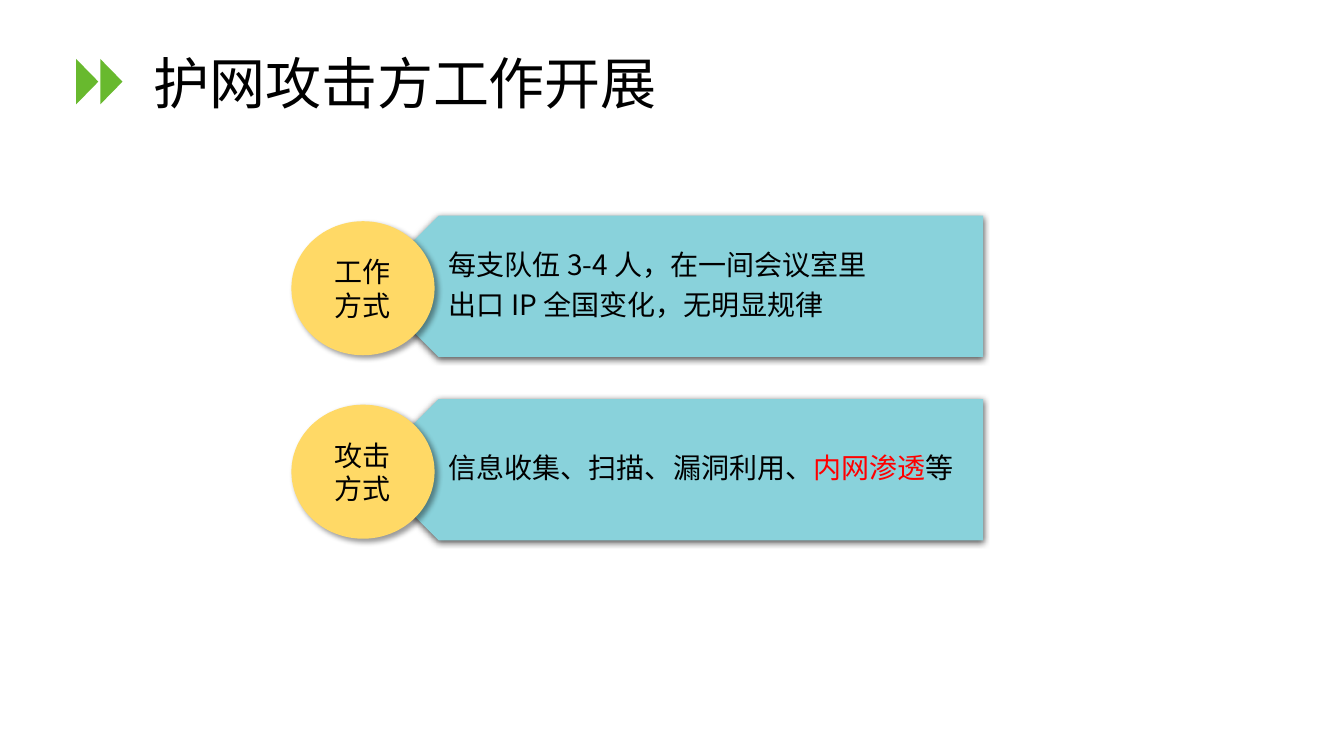
from lxml import etree
from pptx import Presentation
from pptx.dml.color import RGBColor
from pptx.enum.shapes import MSO_SHAPE
from pptx.enum.text import MSO_ANCHOR, PP_ALIGN
from pptx.oxml.ns import qn
from pptx.util import Inches, Pt

BLACK = RGBColor(0x00, 0x00, 0x00)
RED = RGBColor(0xFF, 0x00, 0x00)
GREEN = RGBColor(0x68, 0xB9, 0x2E)
TEAL = RGBColor(0x89, 0xD2, 0xDB)
YELLOW = RGBColor(0xFF, 0xD9, 0x66)
FONT = "Noto Sans CJK SC"
MIDDLE = MSO_ANCHOR.MIDDLE
LEFT, CENTER = PP_ALIGN.LEFT, PP_ALIGN.CENTER
TRIANGLE, PENTAGON, OVAL = MSO_SHAPE.ISOSCELES_TRIANGLE, MSO_SHAPE.PENTAGON, MSO_SHAPE.OVAL

TITLE = "护网攻击方工作开展"
# Each topic: label, then paragraphs made of (text, colour) pieces
TOPICS = [
    ("工作方式", [
        [("每支队伍 3-4 人，在一间会议室里", BLACK)],
        [("出口 IP 全国变化，无明显规律", BLACK)],
    ]),
    ("攻击方式", [
        [("信息收集、扫描、漏洞利用、", BLACK), ("内网渗透", RED), ("等", BLACK)],
    ]),
]

# Opacity in percent, blur and distance in points, direction in degrees
BANNER_SHADOW = (63, 4.5, 1.5, 90)
LABEL_SHADOW = (40, 4, 3, 45)

CHEVRON_LEFTS = (0.64, 0.88)
TOPIC_LEFT, TOPIC_TOP, TOPIC_PITCH = 2.89, 2.14, 1.82
BANNER_LEFT, BANNER_RIGHT, BANNER_HEIGHT = 3.65, 9.75, 1.4
LABEL_WIDTH, LABEL_HEIGHT = 1.42, 1.33


def add_plain_shape(kind, left, top, width, height, fill, rotation=0):
    shape = slide.shapes.add_shape(kind, *map(Inches, (left, top, width, height)))
    shape.shadow.inherit = False
    shape.fill.solid()
    shape.fill.fore_color.rgb = fill
    shape.line.fill.background()
    shape.rotation = rotation
    return shape


def add_shadow(shape, opacity, blur, distance, direction):
    effects = shape._element.spPr.find(qn("a:effectLst"))
    shadow = etree.SubElement(effects, qn("a:outerShdw"), {
        "blurRad": str(Pt(blur)), "dist": str(Pt(distance)),
        "dir": str(direction * 60000), "algn": "ctr", "rotWithShape": "0"})
    color = etree.SubElement(shadow, qn("a:srgbClr"), val=str(BLACK))
    etree.SubElement(color, qn("a:alpha"), val=str(opacity * 1000))


def add_run(paragraph, text, size, color=BLACK):
    run = paragraph.add_run()
    run.text = text
    run.font.size = Pt(size)
    run.font.color.rgb = color
    run.font.name = FONT
    etree.SubElement(run._r.get_or_add_rPr(), qn("a:ea"), typeface=FONT)


def format_frame(frame, **settings):
    for name, value in settings.items():
        setattr(frame, name, value)


def add_topic(top, label, paragraphs):
    banner = add_plain_shape(PENTAGON, BANNER_LEFT, top, BANNER_RIGHT - BANNER_LEFT,
                             BANNER_HEIGHT, TEAL, 180)
    add_shadow(banner, *BANNER_SHADOW)

    details = slide.shapes.add_textbox(*map(Inches, (
        TOPIC_LEFT, top, BANNER_RIGHT - TOPIC_LEFT, BANNER_HEIGHT))).text_frame
    format_frame(details, word_wrap=True, vertical_anchor=MIDDLE,
                 margin_left=Inches(1.56), margin_right=Inches(0.12),
                 margin_top=Inches(0.07), margin_bottom=Inches(0.07))
    for index, pieces in enumerate(paragraphs):
        paragraph = details.add_paragraph() if index else details.paragraphs[0]
        paragraph.line_spacing = 0.9
        paragraph.space_after = Pt(7)
        for text, color in pieces:
            add_run(paragraph, text, 20, color)

    label_top = top + (BANNER_HEIGHT - LABEL_HEIGHT) / 2 + 0.02
    circle = add_plain_shape(OVAL, TOPIC_LEFT, label_top, LABEL_WIDTH, LABEL_HEIGHT, YELLOW)
    add_shadow(circle, *LABEL_SHADOW)
    format_frame(circle.text_frame, word_wrap=True, vertical_anchor=MIDDLE)
    paragraph = circle.text_frame.paragraphs[0]
    paragraph.alignment = CENTER
    add_run(paragraph, label, 20)


presentation = Presentation()
presentation.slide_width, presentation.slide_height = Inches(13.33), Inches(7.5)
slide = presentation.slides.add_slide(presentation.slide_layouts[5])

title = slide.shapes.title
title.left, title.top, title.width, title.height = map(Inches, (1.42, 0.4, 10.99, 0.91))
format_frame(title.text_frame, word_wrap=True, vertical_anchor=MIDDLE)
heading = title.text_frame.paragraphs[0]
heading.alignment = LEFT
heading.line_spacing = 0.9
add_run(heading, TITLE, 40)

for left in CHEVRON_LEFTS:
    add_plain_shape(TRIANGLE, left, 0.7, 0.45, 0.22, GREEN, 90)

for row, (label, paragraphs) in enumerate(TOPICS):
    add_topic(TOPIC_TOP + row * TOPIC_PITCH, label, paragraphs)

presentation.save("out.pptx")
